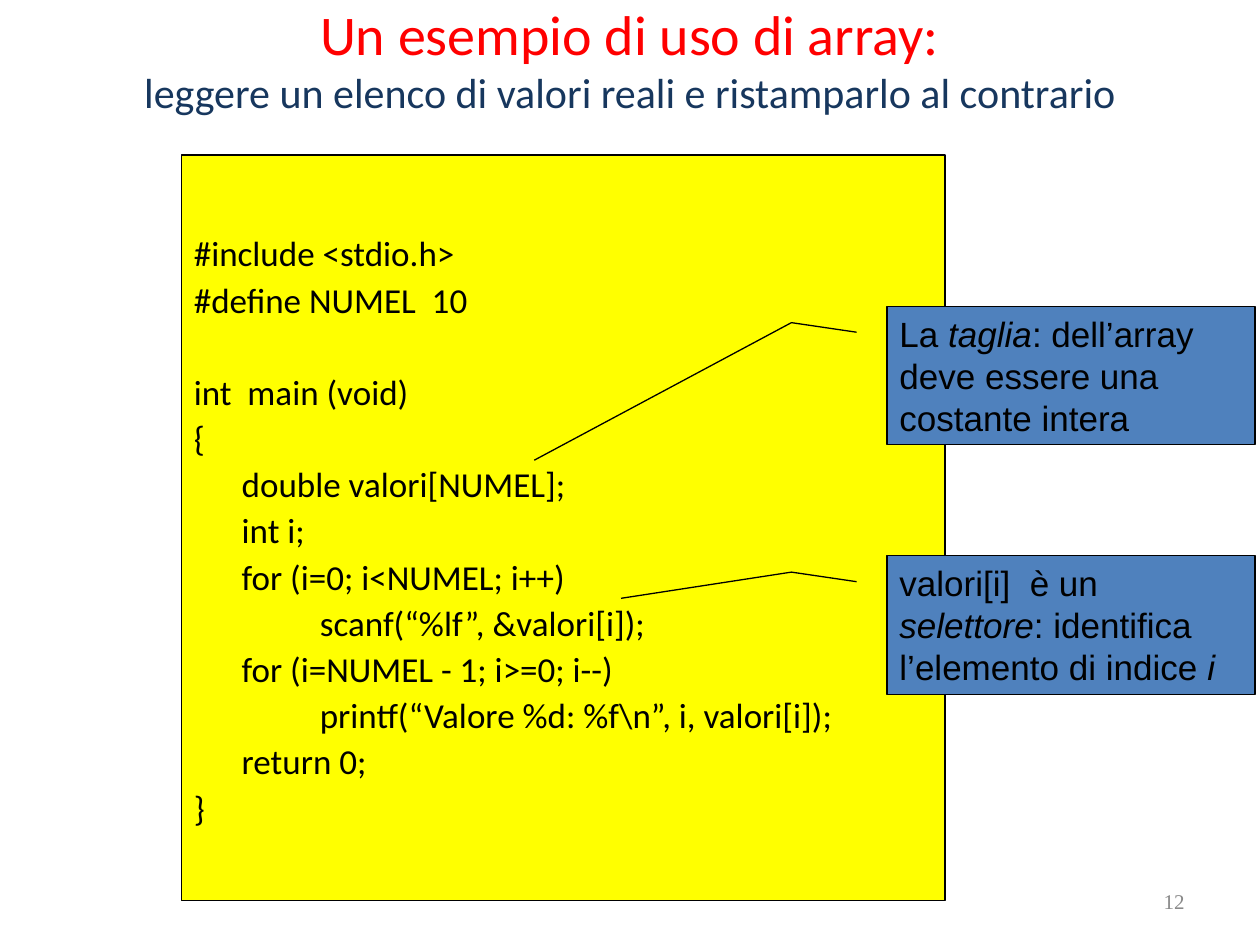
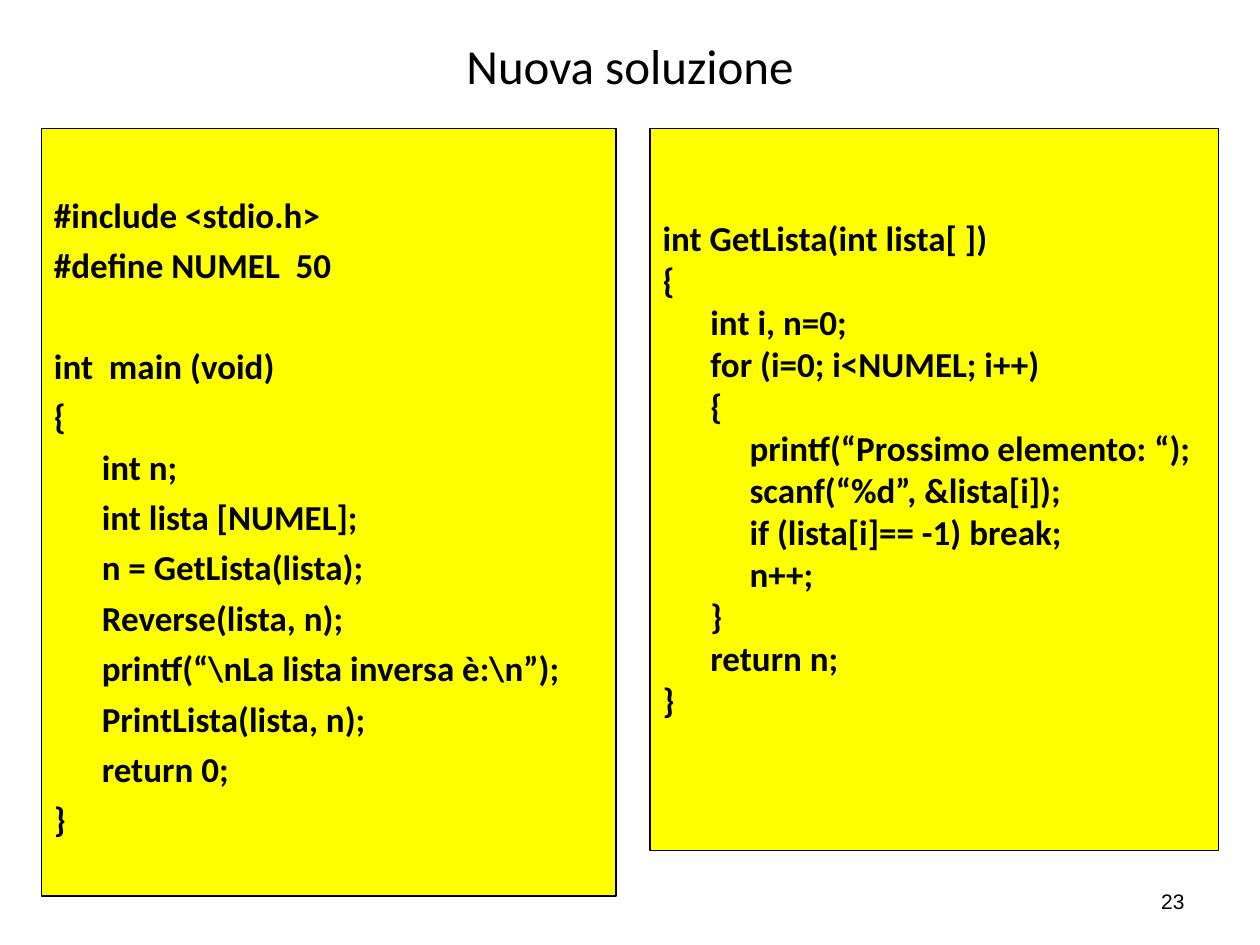
from dataclasses import dataclass

from pptx import Presentation
from pptx.dml.color import RGBColor
from pptx.enum.shapes import MSO_SHAPE as Preset
from pptx.enum.text import MSO_ANCHOR as Anchor, MSO_AUTO_SIZE as AutoSize, PP_ALIGN as Align
from pptx.util import Inches, Pt

BLACK, RED, NAVY, GREY = "000000", "FF0000", "17375E", "898989"
YELLOW, BLUE = "FFFF00", "4F81BD"
CODE_SIZE = 20
LINE_HEIGHT = 24
TITLE_ONLY = 5

READ_AND_REVERSE = [
    (0, "#include <stdio.h>"),
    (0, "#define NUMEL  10"),
    (0, ""),
    (0, "int  main (void)"),
    (0, "{"),
    (1, "double valori[NUMEL];"),
    (1, "int i;"),
    (1, "for (i=0; i<NUMEL; i++)"),
    (2, "scanf(“%lf”, &valori[i]);"),
    (1, "for (i=NUMEL - 1; i>=0; i--)"),
    (2, "printf(“Valore %d: %f\\n”, i, valori[i]);"),
    (1, "return 0;"),
    (0, "}"),
]
MAIN_PROGRAM = [
    (0, "#include <stdio.h>"),
    (0, "#define NUMEL  50"),
    (0, ""),
    (0, "int  main (void)"),
    (0, "{"),
    (1, "int n;"),
    (1, "int lista [NUMEL];"),
    (1, "n = GetLista(lista);"),
    (1, "Reverse(lista, n);"),
    (1, "printf(“\\nLa lista inversa è:\\n”);"),
    (1, "PrintLista(lista, n);"),
    (1, "return 0;"),
    (0, "}"),
]
GET_LISTA = [
    (0, "int GetLista(int lista[ ])"),
    (0, "{"),
    (1, "int i, n=0;"),
    (1, "for (i=0; i<NUMEL; i++)"),
    (1, "{"),
    (2, "printf(“Prossimo elemento: “);"),
    (2, "scanf(“%d”, &lista[i]);"),
    (2, "if (lista[i]== -1) break;"),
    (2, "n++;"),
    (1, "}"),
    (1, "return n;"),
    (0, "}"),
]


@dataclass
class Box:
    """A rectangle on the slide."""

    left: int
    top: int
    width: int
    height: int

    def inner(self, left, top, width, height):
        """Return an inner box given in percent of this one."""
        return Box(
            self.left + round(self.width * left / 100),
            self.top + round(self.height * top / 100),
            round(self.width * width / 100),
            round(self.height * height / 100),
        )

    def edges(self):
        """Return left, top, width and height."""
        return self.left, self.top, self.width, self.height


def colour(value):
    """Turn a hex string into a colour."""
    return RGBColor.from_string(value)


def style_span(span, size, shade=BLACK, font="Calibri", bold=False, italic=False):
    """Format one run of text."""
    span.font.size, span.font.name = Pt(size), font
    span.font.bold, span.font.italic = bold, italic
    span.font.color.rgb = colour(shade)


def set_frame(frame, anchor, side=0.1, top=0.05, bottom=0.05):
    """Set wrapping, anchor and insets of a text frame."""
    frame.word_wrap, frame.auto_size = True, AutoSize.NONE
    frame.vertical_anchor = anchor
    frame.margin_left = frame.margin_right = Inches(side)
    frame.margin_top, frame.margin_bottom = Inches(top), Inches(bottom)


def add_panel(page, preset, box, fill):
    """Add a filled shape with a thin black outline."""
    panel = page.shapes.add_shape(preset, *box.edges())
    panel.shadow.inherit = False
    panel.fill.solid()
    panel.fill.fore_color.rgb = colour(fill)
    panel.line.color.rgb = colour(BLACK)
    panel.line.width = Pt(0.75)
    return panel


def add_code(page, box, lines, indents, spacing=1.0, bold=False, bottom=0.05):
    """Add a yellow listing, turning empty lines into paragraph spacing."""
    frame = add_panel(page, Preset.FLOWCHART_PROCESS, box, YELLOW).text_frame
    set_frame(frame, Anchor.MIDDLE, bottom=bottom)
    frame.text = "\n".join(text for _, text in lines if text)
    levels = [level for level, text in lines if text]
    gaps = [not before for (_, before), (_, text) in zip([(0, "-")] + lines, lines) if text]
    for para, level, gap in zip(frame.paragraphs, levels, gaps):
        para.alignment, para.line_spacing = Align.LEFT, spacing
        para.space_before = Pt(LINE_HEIGHT * spacing if gap else 0)
        para._p.get_or_add_pPr().set("marL", str(Inches(indents[level])))
        para._p.get_or_add_pPr().set("indent", "0")
        style_span(para.runs[0], CODE_SIZE, bold=bold)


def add_callout(page, box, pieces, target):
    """Add a blue note whose bent line ends at the target (down, across)."""
    note = add_panel(page, Preset.LINE_CALLOUT_2, box, BLUE)
    for index, value in enumerate((0.188, -0.083, 0.119, -0.26, *target)):
        note.adjustments[index] = value
    set_frame(note.text_frame, Anchor.TOP)
    para = note.text_frame.paragraphs[0]
    para.alignment = Align.LEFT
    for index, piece in enumerate(pieces):
        span = para.add_run()
        span.text = piece
        style_span(span, CODE_SIZE, font="Arial", italic=index % 2 == 1)


def set_title(page, box, lines):
    """Fill the title placeholder with (text, size, colour) lines."""
    title = page.shapes.title
    title.left, title.top, title.width, title.height = box.edges()
    set_frame(title.text_frame, Anchor.MIDDLE, 0, 0, 0)
    para = title.text_frame.paragraphs[0]
    para.text = "\v".join(text for text, _, _ in lines)
    para.alignment = Align.CENTER
    for span, (_, size, shade) in zip(para.runs, lines):
        style_span(span, size, shade)


def add_page_number(page, box, number, font, shade):
    """Add the page number at the lower right."""
    frame = page.shapes.add_textbox(*box.inner(71.7, 92.67, 23.3, 5.33).edges()).text_frame
    set_frame(frame, Anchor.MIDDLE)
    frame.text = number
    para = frame.paragraphs[0]
    para.alignment = Align.RIGHT
    style_span(para.runs[0], 12, shade, font)


def build_array_example(page, box):
    """Build the listing with two callouts."""
    add_page_number(page, box, "12", "Times New Roman", GREY)
    set_title(page, box.inner(5, 0, 90, 12.4), [
        ("Un esempio di uso di array:", 32, RED),
        ("leggere un elenco di valori reali e ristamparlo al contrario", 24, NAVY),
    ])
    add_code(page, box.inner(14.4, 16.4, 60.6, 78.93), READ_AND_REVERSE, (0, 0.38, 1), 1.1)
    notes = [
        (58.8, ("valori[i]  è un ", "selettore", ": identifica l’elemento di indice ", "i"),
         (0.308, -0.723)),
        (32.4, ("La ", "taglia", ": dell’array deve essere una costante intera"),
         (1.111, -0.959)),
    ]
    for top, pieces, target in notes:
        add_callout(page, box.inner(70.4, top, 29.2, 14.67), pieces, target)


def build_new_solution(page, box):
    """Build the two listings side by side."""
    add_page_number(page, box, "23", "Arial", BLACK)
    set_title(page, box.inner(5, 2.4, 90, 8.93), [("Nuova soluzione", 28, BLACK)])
    indents = (0, 0.38, 0.69)
    add_code(page, box.inner(3.3, 13.6, 45.6, 81.2), MAIN_PROGRAM, indents, 1.2, bold=True)
    add_code(page, box.inner(51.6, 13.6, 45.1, 76.4), GET_LISTA, indents, bold=True, bottom=0.38)


def main():
    """Build and save the deck."""
    deck = Presentation()
    deck.slide_width, deck.slide_height = Inches(10), Inches(7.5)
    whole = Box(0, 0, deck.slide_width, deck.slide_height)
    for build in (build_array_example, build_new_solution):
        build(deck.slides.add_slide(deck.slide_layouts[TITLE_ONLY]), whole)
    deck.save("out.pptx")


if __name__ == "__main__":
    main()
